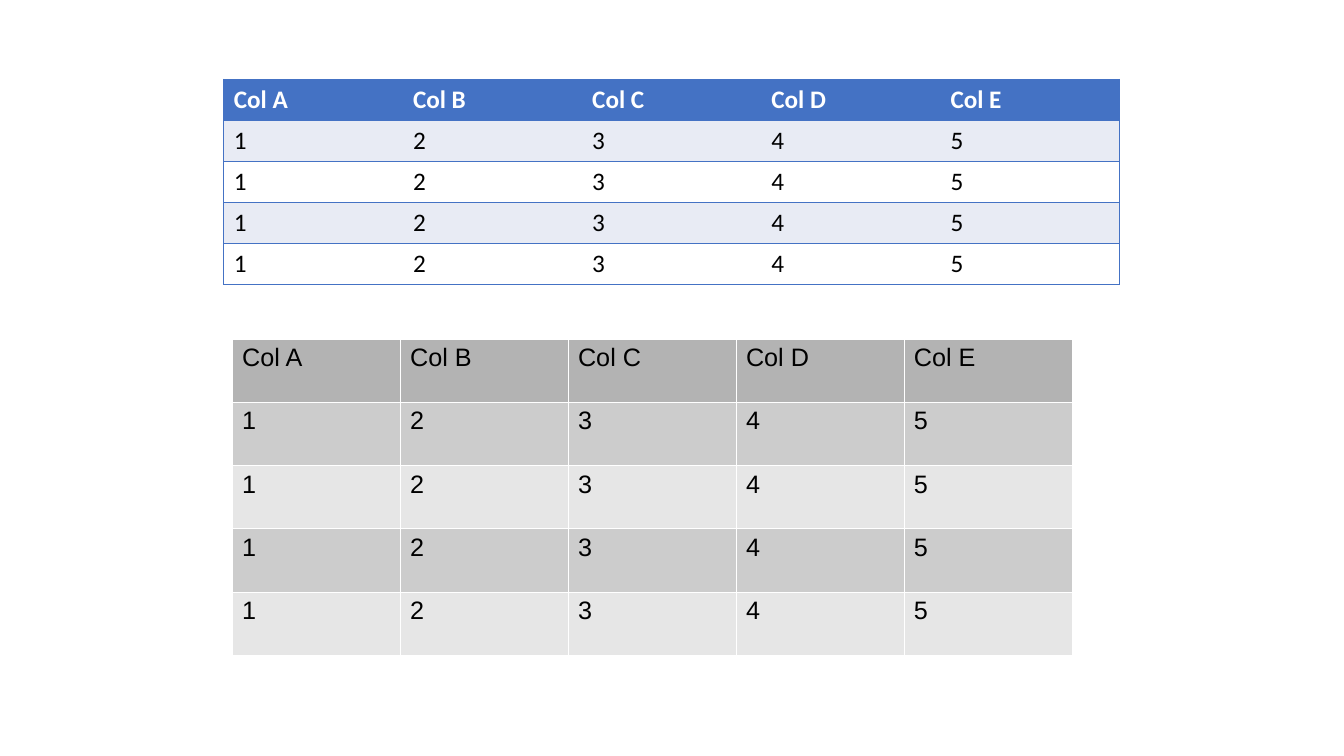
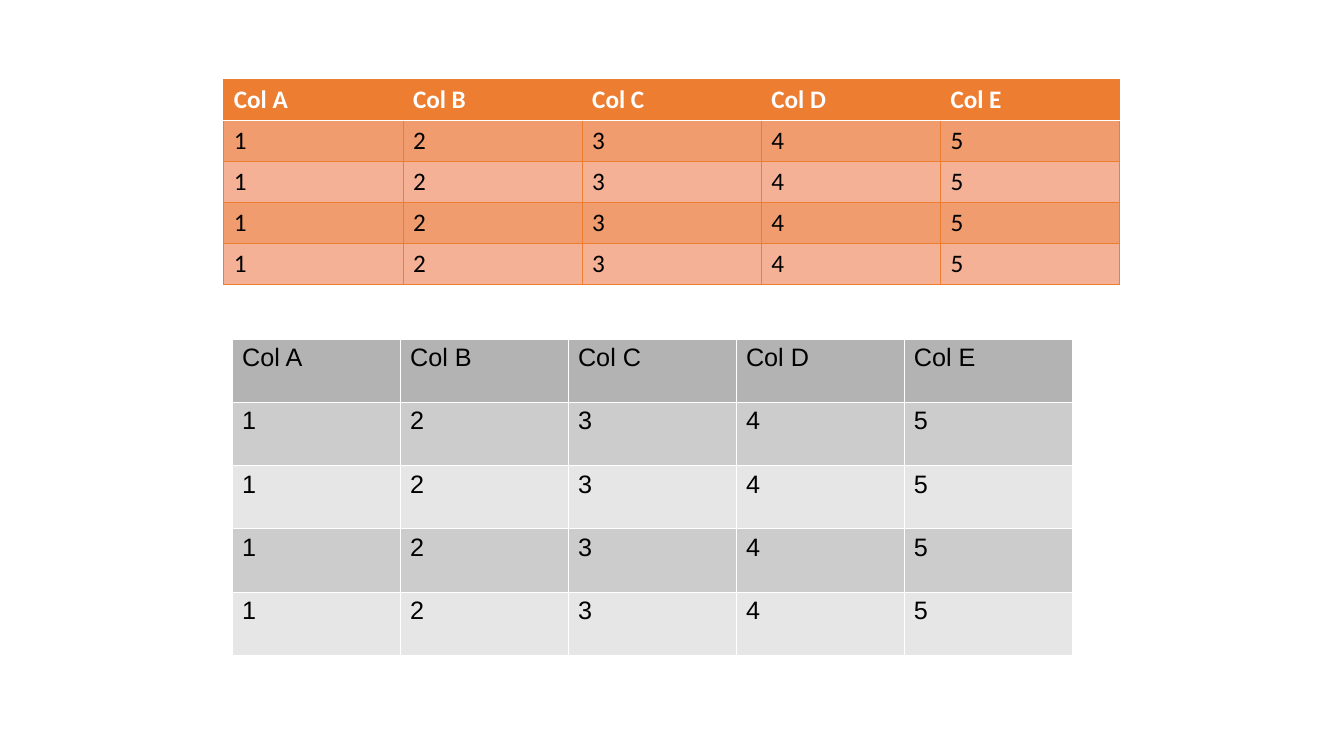
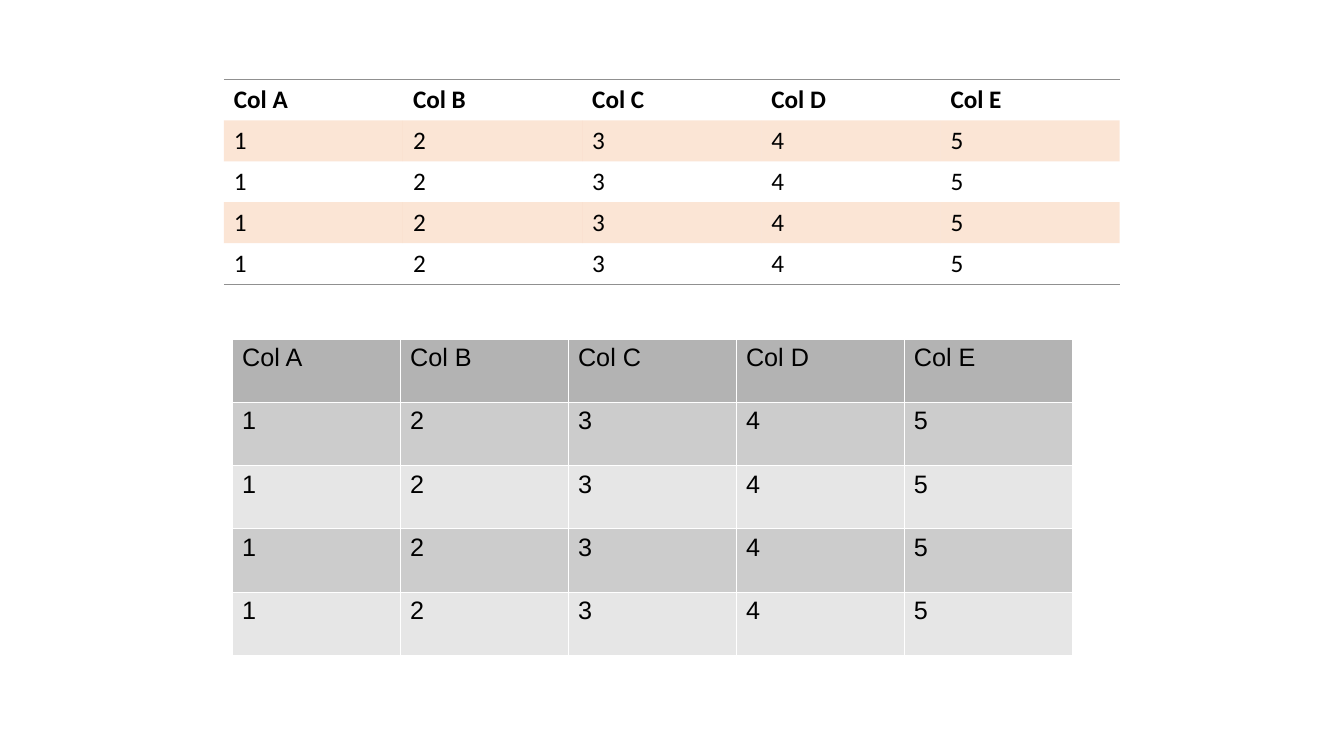
from dataclasses import dataclass
from typing import Optional

from lxml import etree
from pptx import Presentation
from pptx.dml.color import RGBColor
from pptx.enum.text import MSO_ANCHOR
from pptx.oxml.ns import qn
from pptx.util import Cm, Pt

TOP, MIDDLE = MSO_ANCHOR.TOP, MSO_ANCHOR.MIDDLE

# Colours
BLACK = RGBColor(0x00, 0x00, 0x00)
WHITE = RGBColor(0xFF, 0xFF, 0xFF)
BLUE = RGBColor(0x44, 0x72, 0xC4)
PALE_BLUE = RGBColor(0xE8, 0xEB, 0xF4)
ORANGE = RGBColor(0xED, 0x7D, 0x31)
MID_ORANGE = RGBColor(0xF1, 0x9C, 0x6E)
LIGHT_ORANGE = RGBColor(0xF4, 0xB1, 0x96)
RULE_GREY = RGBColor(0x90, 0x90, 0x90)
DARK_GREY = RGBColor(0xB3, 0xB3, 0xB3)
MID_GREY = RGBColor(0xCC, 0xCC, 0xCC)
LIGHT_GREY = RGBColor(0xE6, 0xE6, 0xE6)

# Table content: a header and four equal rows
HEADER = [f"Col {letter}" for letter in "ABCDE"]
ROWS = [HEADER] + [list("12345")] * 4


@dataclass(frozen=True)
class Line:
    color: RGBColor
    points: float


@dataclass(frozen=True)
class Frame:
    left: float
    top: float
    width: float
    height: float


@dataclass(frozen=True)
class TableStyle:
    font: str
    anchor: MSO_ANCHOR
    header_fill: Optional[RGBColor]
    header_color: RGBColor
    header_bold: bool
    odd_fill: Optional[RGBColor]
    even_fill: Optional[RGBColor]
    odd_opacity: int = 100
    outer_rows: Optional[Line] = None
    outer_columns: Optional[Line] = None
    header_rule: Optional[Line] = None
    inner_rows: Optional[Line] = None
    inner_columns: Optional[Line] = None


# Places, in centimetres
UPPER = Frame(5.64, 2, 22.58, 5.16)
LOWER = Frame(5.85, 8.54, 21.16, 7.96)

# Table looks
BLUE_LINE = Line(BLUE, 0.96)
ORANGE_LINE = Line(ORANGE, 0.5)
GREY_LINE = Line(RULE_GREY, 0.96)
WHITE_LINE = Line(WHITE, 0.06)

BLUE_ROWS = TableStyle(
    "Calibri", MIDDLE, BLUE, WHITE, True, PALE_BLUE, WHITE,
    outer_rows=BLUE_LINE, outer_columns=BLUE_LINE,
    header_rule=BLUE_LINE, inner_rows=BLUE_LINE)
ORANGE_GRID = TableStyle(
    "Calibri", MIDDLE, ORANGE, WHITE, True, MID_ORANGE, LIGHT_ORANGE,
    outer_rows=ORANGE_LINE, outer_columns=ORANGE_LINE,
    header_rule=Line(WHITE, 0.96),
    inner_rows=ORANGE_LINE, inner_columns=ORANGE_LINE)
OPEN_BANDS = TableStyle(
    "Calibri", MIDDLE, None, BLACK, True, ORANGE, None,
    odd_opacity=20, outer_rows=GREY_LINE)
GREY_GRID = TableStyle(
    "Arial", TOP, DARK_GREY, BLACK, False, MID_GREY, LIGHT_GREY,
    outer_rows=WHITE_LINE, outer_columns=WHITE_LINE,
    header_rule=WHITE_LINE, inner_rows=WHITE_LINE, inner_columns=WHITE_LINE)


def write_text(cell, text: str, *, font: str, color: RGBColor,
               bold: bool = False, size: float = 18) -> None:
    span = cell.text_frame.paragraphs[0].add_run()
    span.text = text
    span.font.name = font
    span.font.size = Pt(size)
    span.font.bold = bold
    span.font.color.rgb = color


def set_border(cell, side: str, line: Optional[Line]) -> None:
    properties = cell._tc.get_or_add_tcPr()
    border = etree.SubElement(properties, qn(f"a:ln{side}"))
    if line is None:
        border.set("w", "0")
        etree.SubElement(border, qn("a:noFill"))
        return
    border.set("w", str(Pt(line.points)))
    fill = etree.SubElement(border, qn("a:solidFill"))
    etree.SubElement(fill, qn("a:srgbClr"), val=str(line.color))


def set_fill(cell, color: Optional[RGBColor], opacity: int = 100) -> None:
    if color is None:
        cell.fill.background()
        return
    cell.fill.solid()
    cell.fill.fore_color.rgb = color
    if opacity < 100:
        tint = cell._tc.tcPr.find(f"{qn('a:solidFill')}/{qn('a:srgbClr')}")
        etree.SubElement(tint, qn("a:alpha"), val=str(opacity * 1000))


def row_line(style: TableStyle, edge: int) -> Optional[Line]:
    """Line at a horizontal edge, counted from the top of the table."""
    if edge in (0, len(ROWS)):
        return style.outer_rows
    return style.header_rule if edge == 1 else style.inner_rows


def column_line(style: TableStyle, edge: int) -> Optional[Line]:
    """Line at a vertical edge, counted from the left of the table."""
    outer = edge in (0, len(HEADER))
    return style.outer_columns if outer else style.inner_columns


def draw_table(page, frame: Frame, style: TableStyle) -> None:
    table = page.shapes.add_table(
        len(ROWS), len(HEADER), Cm(frame.left), Cm(frame.top),
        Cm(frame.width), Cm(frame.height)).table
    table.horz_banding = False
    for row, texts in enumerate(ROWS):
        for column, text in enumerate(texts):
            cell = table.cell(row, column)
            cell.vertical_anchor = style.anchor
            # Borders come before the fill in the cell properties
            set_border(cell, "L", column_line(style, column))
            set_border(cell, "R", column_line(style, column + 1))
            set_border(cell, "T", row_line(style, row))
            set_border(cell, "B", row_line(style, row + 1))
            if row == 0:
                set_fill(cell, style.header_fill)
                write_text(cell, text, font=style.font,
                           color=style.header_color, bold=style.header_bold)
                continue
            if row % 2:
                set_fill(cell, style.odd_fill, style.odd_opacity)
            else:
                set_fill(cell, style.even_fill)
            write_text(cell, text, font=style.font, color=BLACK)


def main() -> None:
    deck = Presentation()
    deck.slide_width, deck.slide_height = Cm(33.87), Cm(19.05)
    blank = deck.slide_layouts[6]
    for upper_style in (BLUE_ROWS, ORANGE_GRID, OPEN_BANDS):
        page = deck.slides.add_slide(blank)
        draw_table(page, UPPER, upper_style)
        draw_table(page, LOWER, GREY_GRID)
    deck.save("out.pptx")


if __name__ == "__main__":
    main()
